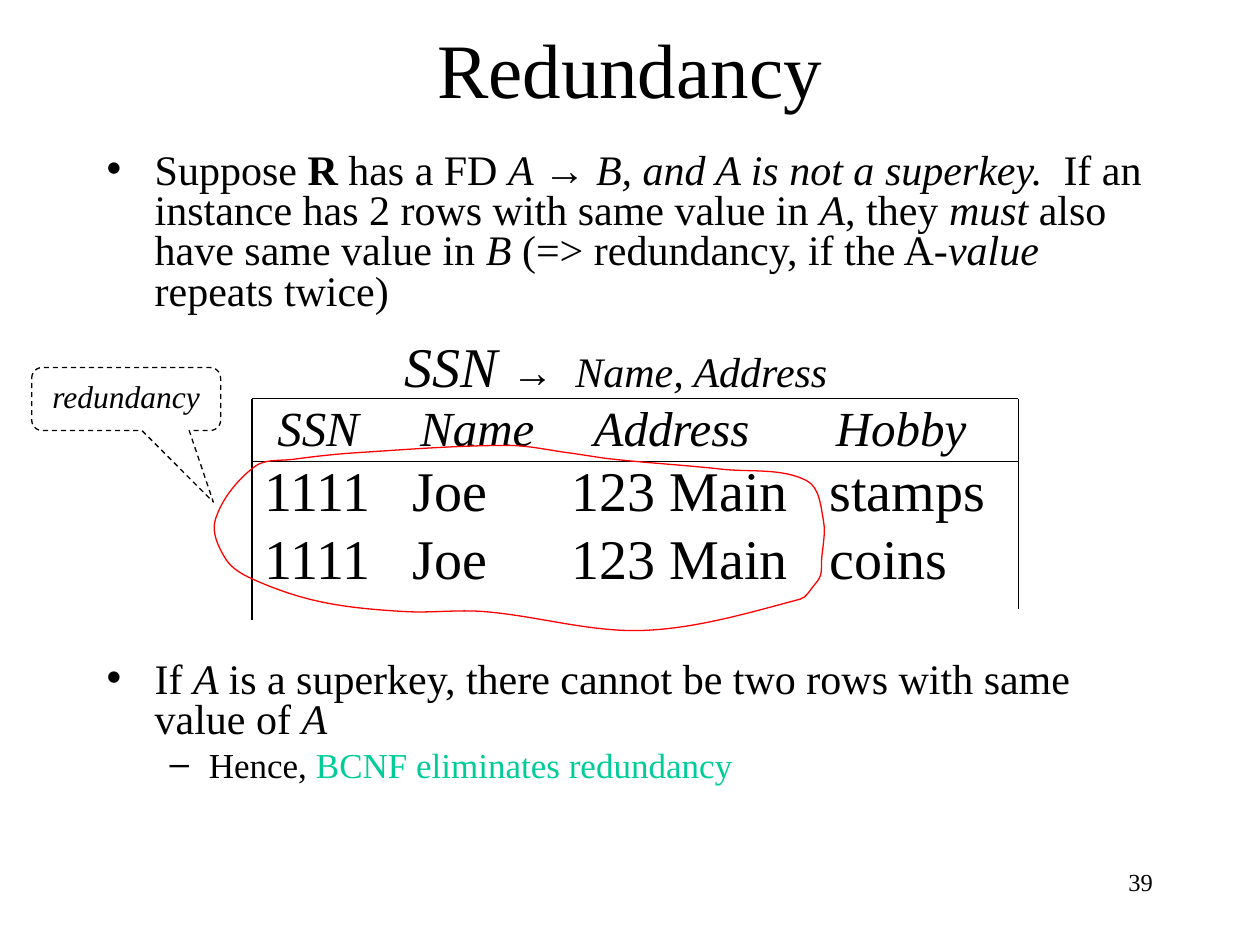
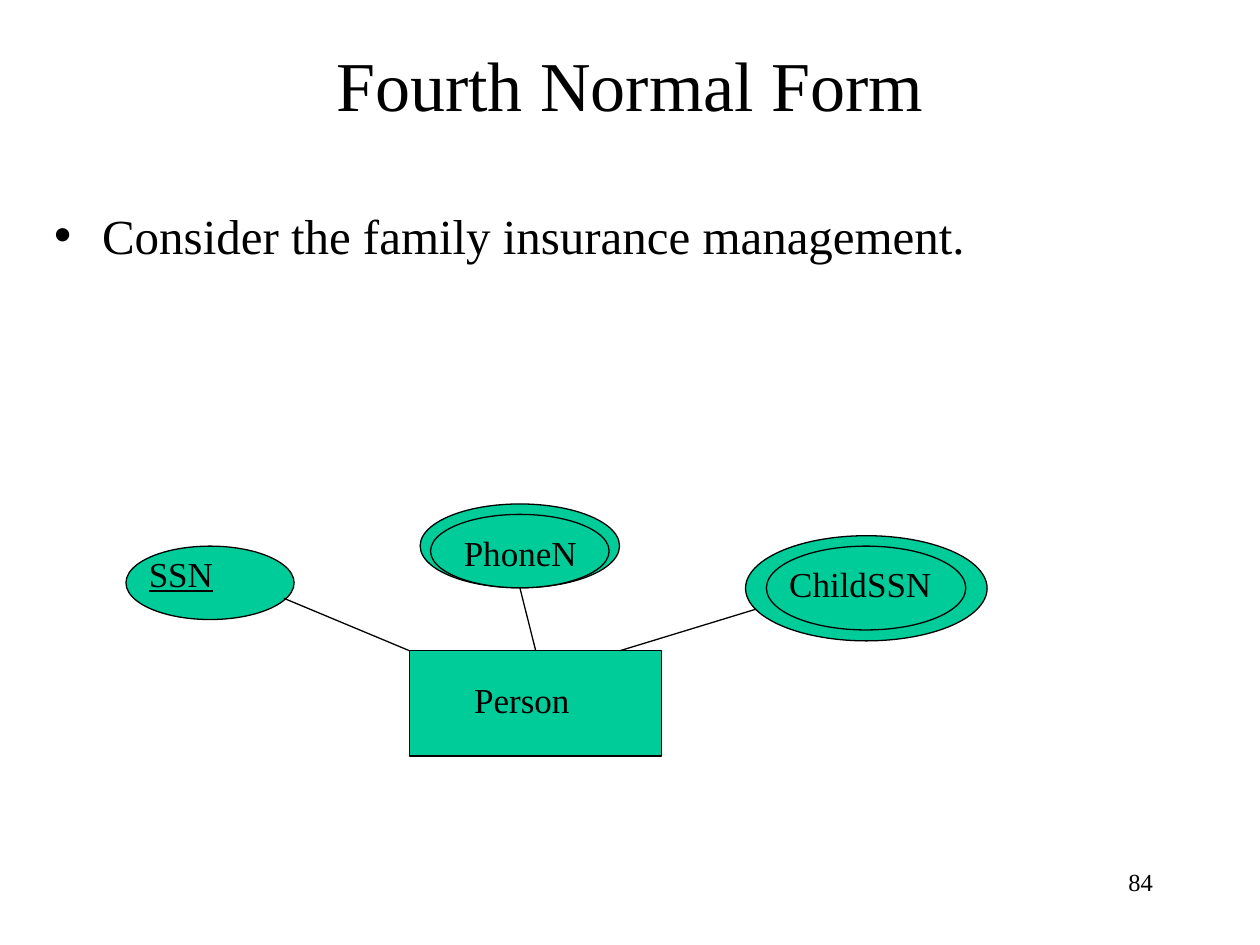
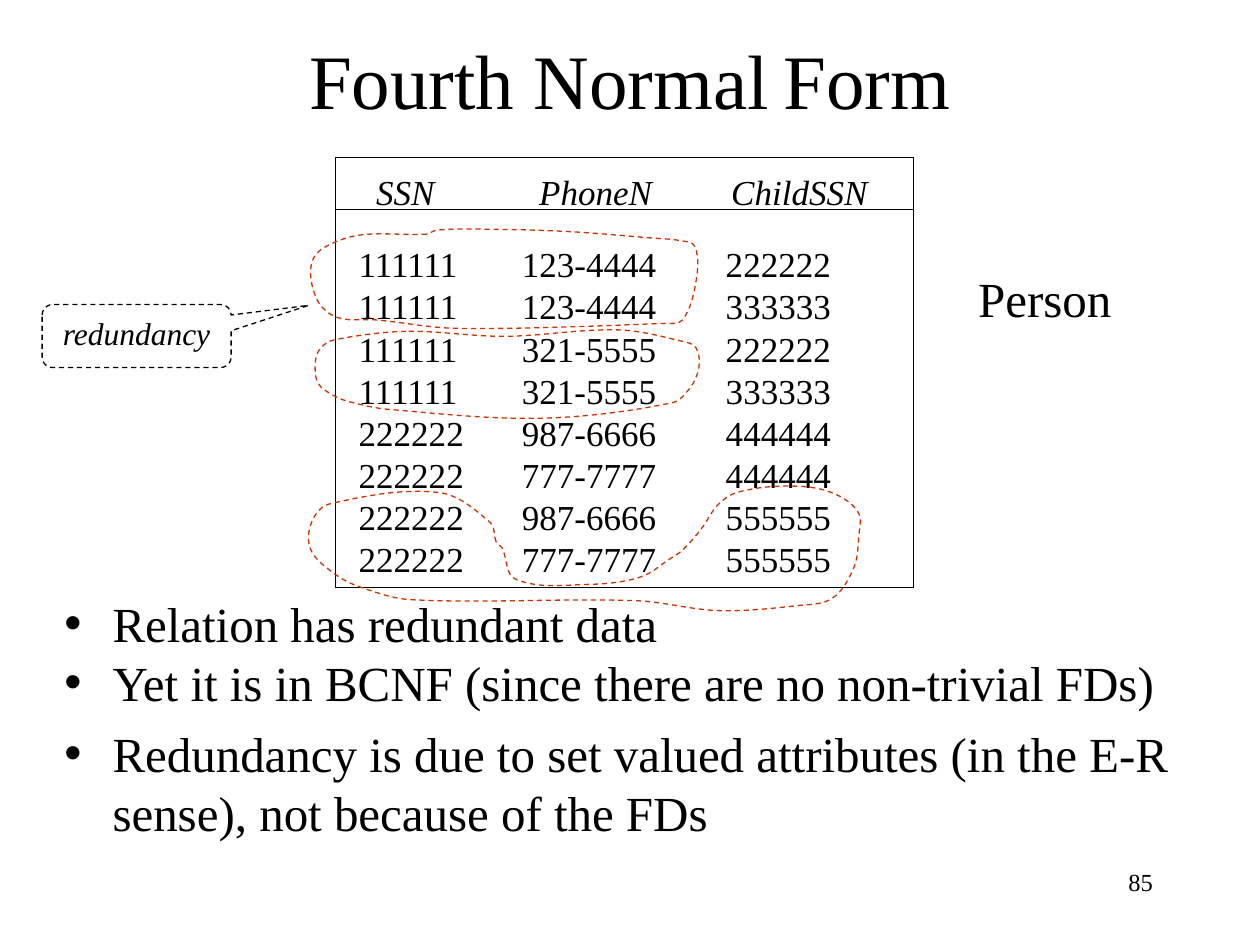
from dataclasses import dataclass
from math import hypot

from lxml import etree
from pptx import Presentation
from pptx.dml.color import RGBColor
from pptx.enum.dml import MSO_LINE
from pptx.enum.shapes import MSO_CONNECTOR, MSO_SHAPE
from pptx.enum.text import MSO_ANCHOR, MSO_AUTO_SIZE, PP_ALIGN
from pptx.oxml.ns import qn
from pptx.util import Cm, Pt

CENTER, RIGHT = PP_ALIGN.CENTER, PP_ALIGN.RIGHT
TOP, MIDDLE, BOTTOM = MSO_ANCHOR.TOP, MSO_ANCHOR.MIDDLE, MSO_ANCHOR.BOTTOM
NO_AUTOFIT = MSO_AUTO_SIZE.NONE
DASH = MSO_LINE.DASH
STRAIGHT = MSO_CONNECTOR.STRAIGHT
ELLIPSE, RECTANGLE = MSO_SHAPE.OVAL, MSO_SHAPE.RECTANGLE
CALLOUT = MSO_SHAPE.ROUNDED_RECTANGULAR_CALLOUT
TITLE_ONLY = 5
PLAIN_TABLE = "{2D5ABB26-0587-4C30-8999-92F81FD0307C}"


@dataclass(frozen=True)
class Theme:
    font: str = "Times New Roman"
    symbol_font: str = "Arial"
    ink: str = "000000"
    accent: str = "00CC99"
    alert: str = "FF0000"
    rust: str = "CC3300"
    title: int = 44
    small_title: int = 40
    large: int = 32
    heading: int = 28
    body: int = 24
    label: int = 20
    note: int = 18
    footer: int = 14
    line: float = 0.75


THEME = Theme()
ITALIC = {"italic": True}
BOLD = {"bold": True}
ARROW = ("→", {"name": THEME.symbol_font})


def apply(target, values):
    for name, value in values.items():
        setattr(target, name, value)


def lengths(box):
    return [Cm(value) for value in box]


def add_bullet(para, bullet, margin, hanging):
    props = para._p.get_or_add_pPr()
    props.set("marL", str(Cm(margin)))
    props.set("indent", str(-Cm(hanging)))
    color = etree.SubElement(props, qn("a:buClr"))
    etree.SubElement(color, qn("a:srgbClr"), val=THEME.ink)
    etree.SubElement(props, qn("a:buFont"), typeface=THEME.symbol_font)
    etree.SubElement(props, qn("a:buChar"), char=bullet)


def add_tab(para, position):
    tabs = etree.SubElement(para._p.get_or_add_pPr(), qn("a:tabLst"))
    etree.SubElement(tabs, qn("a:tab"), pos=str(Cm(position)), algn="l")


def write(para, spans, size, formats=None, **layout):
    apply(para, layout)
    for item in [spans] if isinstance(spans, str) else spans:
        text, changes = (item, {}) if isinstance(item, str) else item
        span = para.add_run()
        span.text = text
        values = {"name": THEME.font, "size": size, **(formats or {}), **changes}
        values["size"] = Pt(values["size"])
        span.font.color.rgb = RGBColor.from_string(values.pop("color", THEME.ink))
        apply(span.font, values)


def add_text(page, box, spans, size, tab=None, **layout):
    frame = page.shapes.add_textbox(*lengths(box)).text_frame
    frame.word_wrap = True
    if tab:
        add_tab(frame.paragraphs[0], tab)
    write(frame.paragraphs[0], spans, size, **layout)


def add_bullets(page, box, items):
    frame = page.shapes.add_textbox(*lengths(box)).text_frame
    frame.word_wrap = True
    for index, (spans, size, level, spacing, before) in enumerate(items):
        para = frame.add_paragraph() if index else frame.paragraphs[0]
        bullet = ("–", 2.06, 0.79) if level else ("•", 0.97, 0.97)
        add_bullet(para, *bullet)
        write(para, spans, size, level=level, line_spacing=spacing,
              space_before=Pt(before if index else 0))


def style_outline(shape, color=THEME.ink, fill=None, dash=None):
    shape.shadow.inherit = False
    if fill:
        shape.fill.solid()
        shape.fill.fore_color.rgb = RGBColor.from_string(fill)
    else:
        shape.fill.background()
    shape.line.color.rgb = RGBColor.from_string(color)
    apply(shape.line, {"width": Pt(THEME.line), "dash_style": dash})


def add_figure(page, kind, box, **style):
    shape = page.shapes.add_shape(kind, *lengths(box))
    style_outline(shape, **style)
    return shape


def add_line(page, start, end):
    line = page.shapes.add_connector(STRAIGHT, *lengths(start + end))
    line.line.color.rgb = RGBColor.from_string(THEME.ink)
    line.line.width = Pt(THEME.line)
    etree.SubElement(line._element.spPr, qn("a:effectLst"))
    return line


def add_callout(page, left, top, pointer):
    shape = add_figure(page, CALLOUT, (left, top, 3.81, 1.27), dash=DASH)
    for index, value in enumerate(pointer + (0.167,)):
        shape.adjustments[index] = value
    shape.text_frame.vertical_anchor = TOP
    write(shape.text_frame.paragraphs[0], "redundancy", THEME.note, ITALIC,
          alignment=CENTER)


def curve_controls(points):
    count = len(points)
    slopes = []
    for index in range(count):
        before, after = points[index - 1], points[(index + 1) % count]
        run, rise = after[0] - before[0], after[1] - before[1]
        reach = hypot(run, rise)
        slopes.append((run / reach, rise / reach))
    controls = []
    for index, (x, y) in enumerate(points):
        following = (index + 1) % count
        next_x, next_y = points[following]
        pull = hypot(next_x - x, next_y - y) / 3
        (run, rise), (next_run, next_rise) = slopes[index], slopes[following]
        controls += [(x + pull * run, y + pull * rise),
                     (next_x - pull * next_run, next_y - pull * next_rise),
                     (next_x, next_y)]
    return controls


def add_loop(page, origin, points, color, dash=None):
    def place(point):
        return tuple(Cm(base + value) for base, value in zip(origin, point))

    builder = page.shapes.build_freeform(*place(points[0]), scale=1.0)
    builder.add_line_segments([place(point) for point in curve_controls(points)])
    shape = builder.convert_to_shape()
    outline = shape._element.xpath(".//a:path")[0]
    segments = outline.findall(qn("a:lnTo"))
    for index in range(0, len(segments), 3):
        curve = etree.SubElement(outline, qn("a:cubicBezTo"))
        for segment in segments[index:index + 3]:
            curve.append(segment[0])
            outline.remove(segment)
    close = outline.find(qn("a:close"))
    if close is not None:
        outline.append(close)
    style_outline(shape, color, dash=dash)


def add_relation(page, origin, rows, widths, heights, indents, sizes, anchors):
    box = (*origin, sum(widths), sum(heights))
    grid = page.shapes.add_table(len(rows), len(widths), *lengths(box)).table
    apply(grid, {"first_row": False, "horz_banding": False})
    grid._tbl.tblPr.find(qn("a:tableStyleId")).text = PLAIN_TABLE
    for column, width in zip(grid.columns, widths):
        column.width = Cm(width)
    for r, values in enumerate(rows):
        grid.rows[r].height = Cm(heights[r])
        kind = min(r, 1)
        for c, value in enumerate(values):
            cell = grid.cell(r, c)
            cell.fill.background()
            apply(cell, {"margin_left": Cm(indents[kind][c]), "margin_right": 0,
                         "margin_top": 0, "margin_bottom": 0,
                         "vertical_anchor": anchors[kind]})
            write(cell.text_frame.paragraphs[0], value, sizes[kind],
                  None if r else ITALIC)


def add_rules(page, origin, width, levels, left_height, right_height):
    left, top = origin
    right = left + width
    for level in levels:
        add_line(page, (left, top + level), (right, top + level))
    for x, height in ((left, left_height), (right, right_height)):
        add_line(page, (x, top), (x, top + height))


def start_page(deck, title, size, top, height, number):
    page = deck.slides.add_slide(deck.slide_layouts[TITLE_ONLY])
    holder = page.shapes.title
    apply(holder, dict(zip(("left", "top", "width", "height"),
                           lengths((1.9, top, 21.59, height)))))
    apply(holder.text_frame, {"auto_size": NO_AUTOFIT, "vertical_anchor": MIDDLE,
                              "word_wrap": True})
    write(holder.text_frame.paragraphs[0], title, size, alignment=CENTER)
    add_text(page, (18.21, 17.35, 5.28, 1.27), number, THEME.footer, alignment=RIGHT)
    return page


def build_redundancy(deck):
    page = start_page(deck, "Redundancy", THEME.title, 0.63, 1.47, "39")
    definition = [
        "Suppose ", ("R", BOLD), " has a FD ", ("A ", ITALIC), ARROW,
        (" B, and A is not a superkey.  ", ITALIC),
        "If an instance has 2 rows with same value in ", ("A", ITALIC), ", they ",
        ("must ", ITALIC), "also have same value in ", ("B", ITALIC),
        " (=> redundancy, if the A-", ("value", ITALIC), " repeats twice)"]
    superkey = [
        "If ", ("A ", ITALIC),
        "is a superkey, there cannot be two rows with same value of ", ("A", ITALIC)]
    result = ["Hence, ", ("BCNF eliminates redundancy", {"color": THEME.accent})]
    add_bullets(page, (1.9, 2.96, 21.79, 3.6), [(definition, THEME.body, 0, 0.8, 0)])
    add_bullets(page, (1.9, 13.22, 21.79, 3.9), [
        (superkey, THEME.body, 0, 0.8, 0), (result, THEME.label, 1, 0.8, 5)])

    dependency = [("SSN ", {"size": THEME.large}), ARROW, "\tName, Address"]
    add_text(page, (7.9, 6.55, 10.7, 1.5), dependency, THEME.body, tab=3.45,
             formats=ITALIC)
    origin = (5.08, 8.04)
    rows = [("SSN", "Name", "Address", "Hobby"),
            ("1111", "Joe", "123 Main", "stamps"),
            ("1111", "Joe", "123 Main", "coins")]
    add_relation(page, origin, rows, (2.98, 3.21, 5.2, 4.06), (1.27, 1.35, 1.75),
                 ((0.51, 0.41, 0.7, 0.38), (0.25,) * 4),
                 (THEME.heading, THEME.large), (MIDDLE, TOP))
    add_rules(page, origin, 15.45, (0, 1.27), 4.45, 4.23)
    repeated_rows = [
        (11.18, 1.65), (9.47, 1.42), (7.29, 1.22), (6.38, 1.09), (5.16, 0.94),
        (2.08, 1.09), (0.84, 1.22), (0.05, 1.37), (-0.74, 2.44), (-0.53, 3.23),
        (0, 3.63), (1.37, 4.09), (3.07, 4.29), (4.67, 4.29), (7.9, 4.67),
        (11.05, 4.04), (11.33, 3.76), (11.46, 3.56), (11.48, 3.28), (11.52, 2.46)]
    add_loop(page, origin, repeated_rows, THEME.alert)
    add_callout(page, 0.64, 7.41, (0.461, 1.635))


def draw_entity_diagram(page, left, top):
    def at(x, y, *size):
        return (left + x, top + y, *size)

    attributes = [
        ("SSN", (0.21, 0.85), {"underline": True}, [(0, 0.85, 3.39, 1.48)]),
        ("PhoneN", (6.56, 0.42), None,
         [(5.93, 0, 4.02, 1.69), (6.14, 0.21, 3.6, 1.48)]),
        ("ChildSSN", (13.12, 1.06), None,
         [(12.49, 0.64, 4.87, 2.12), (12.91, 0.85, 4.02, 1.69)])]
    for name, corner, formats, ovals in attributes:
        for oval in ovals:
            add_figure(page, ELLIPSE, at(*oval), fill=THEME.accent)
        add_text(page, at(*corner, 3.81, 1.12), name, THEME.label, formats=formats)
    person = add_figure(page, RECTANGLE, at(5.72, 2.96, 5.08, 2.12), fill=THEME.accent)
    add_text(page, at(6.77, 3.39, 3.39, 1.12), "Person", THEME.label)
    add_line(page, at(3.18, 1.9), at(5.72, 2.96))
    add_line(page, at(7.94, 1.69), at(8.26, 2.96)).end_connect(person, 0)
    add_line(page, at(9.95, 2.96), at(12.7, 2.12))


def build_insurance(deck):
    page = start_page(deck, "Fourth Normal Form", THEME.small_title, 0.84, 1.69, "84")
    add_bullets(page, (0.84, 4.02, 23.9, 3), [
        ("Consider the family insurance management.", THEME.heading, 0, 1.0, 0)])
    draw_entity_diagram(page, 2.54, 10.16)


def build_person_relation(deck):
    title = ["Fourth Normal", (" ", {"size": THEME.large}), "Form"]
    page = start_page(deck, title, THEME.title, 0, 3.18, "85")
    add_bullets(page, (1.05, 12.07, 23.28, 5.28), [
        ("Relation has redundant data", THEME.heading, 0, 0.8, 0),
        ("Yet it is in BCNF (since there are no non-trivial FDs)",
         THEME.heading, 0, 0.8, 7),
        ("Redundancy is due to set valued attributes (in the E-R sense), "
         "not because of the FDs", THEME.heading, 0, 1.0, 7)])
    origin = (6.77, 3.17)
    rows = [("SSN", "PhoneN", "ChildSSN"),
            ("111111", "123-4444", "222222"),
            ("111111", "123-4444", "333333"),
            ("111111", "321-5555", "222222"),
            ("111111", "321-5555", "333333"),
            ("222222", "987-6666", "444444"),
            ("222222", "777-7777", "444444"),
            ("222222", "987-6666", "555555"),
            ("222222", "777-7777", "555555")]
    add_relation(page, origin, rows, (3.5, 4.11, 4.03),
                 (1.12, 1.46, *[0.85] * 7),
                 ((0.81, 0.6, 0.36), (0.46, 0.25, 0.25)),
                 (THEME.label, THEME.label), (BOTTOM, BOTTOM))
    add_rules(page, origin, 11.64, (0, 1.06, 8.68), 8.68, 8.68)
    add_callout(page, 0.85, 6.14, (0.91, -0.486))
    add_text(page, (19.47, 5.29, 4, 1.45), "Person", THEME.heading)
    first_phone = [
        (1.83, 1.55), (0.48, 1.57), (-0.25, 1.83), (-0.48, 2.11), (-0.48, 2.57),
        (-0.28, 3.02), (0.1, 3.25), (0.81, 3.28), (2.44, 3.45), (6.63, 3.35),
        (6.99, 3.28), (7.26, 2.51), (7.24, 1.8), (6.93, 1.68), (6.38, 1.63),
        (4.7, 1.5), (2.97, 1.45), (2.03, 1.47)]
    second_phone = [
        (1.42, 3.51), (-0.03, 3.68), (-0.3, 3.84), (-0.41, 4.11), (-0.36, 4.55),
        (-0.05, 4.8), (0.28, 4.93), (1.04, 5.08), (4.14, 5.26), (6.78, 4.95),
        (7.14, 4.65), (7.32, 4.24), (7.26, 3.84), (6.99, 3.71), (5.69, 3.48),
        (3.4, 3.61)]
    shared_child = [
        (3.23, 7.75), (3.12, 7.37), (2.08, 6.76), (-0.13, 6.99), (-0.48, 7.34),
        (-0.51, 7.9), (-0.05, 8.38), (0.48, 8.66), (1.52, 8.92), (6.05, 8.94),
        (7.72, 9.14), (9.3, 9.04), (10.01, 8.89), (10.44, 8.28), (10.54, 7.67),
        (10.52, 7.14), (9.91, 6.73), (9.02, 6.63), (8.08, 6.76), (7.7, 7.01),
        (7.37, 7.49), (6.99, 7.92), (6.73, 8.1), (6.15, 8.46), (5.13, 8.61),
        (3.63, 8.51), (3.35, 7.87)]
    for points in (first_phone, second_phone, shared_child):
        add_loop(page, origin, points, THEME.rust, DASH)


def main():
    deck = Presentation()
    apply(deck, {"slide_width": Cm(25.4), "slide_height": Cm(19.05)})
    for build in (build_redundancy, build_insurance, build_person_relation):
        build(deck)
    deck.save("out.pptx")


if __name__ == "__main__":
    main()
